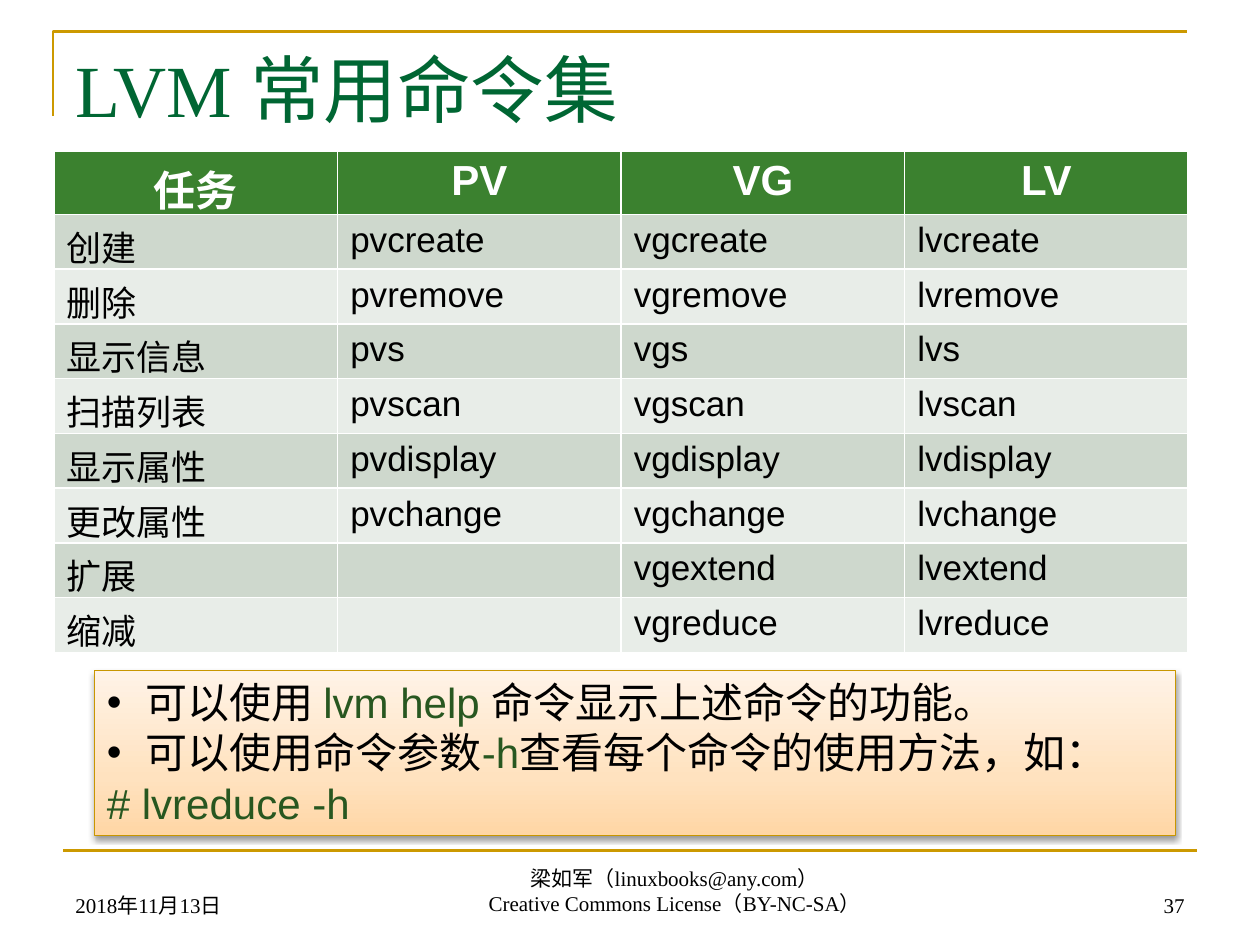
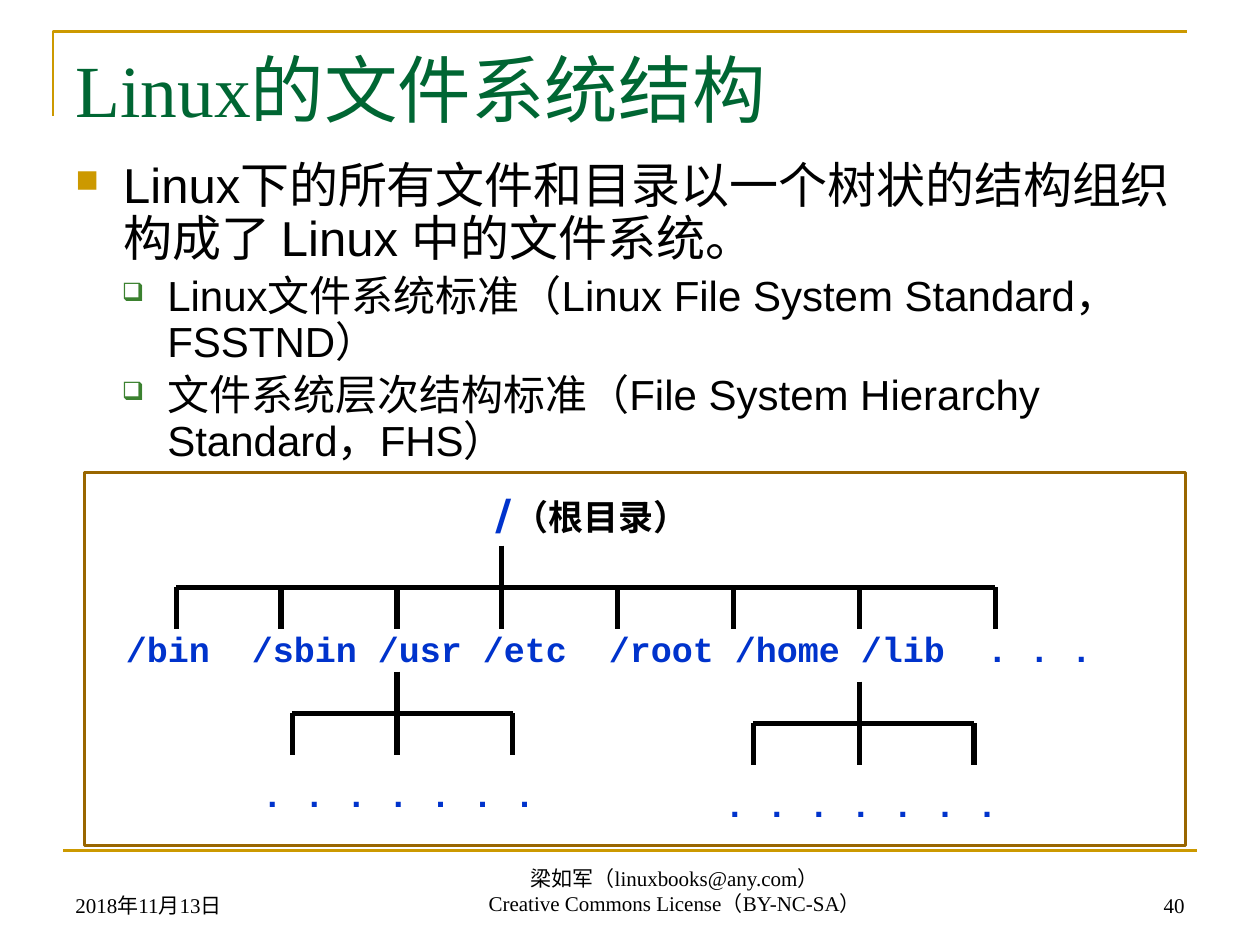
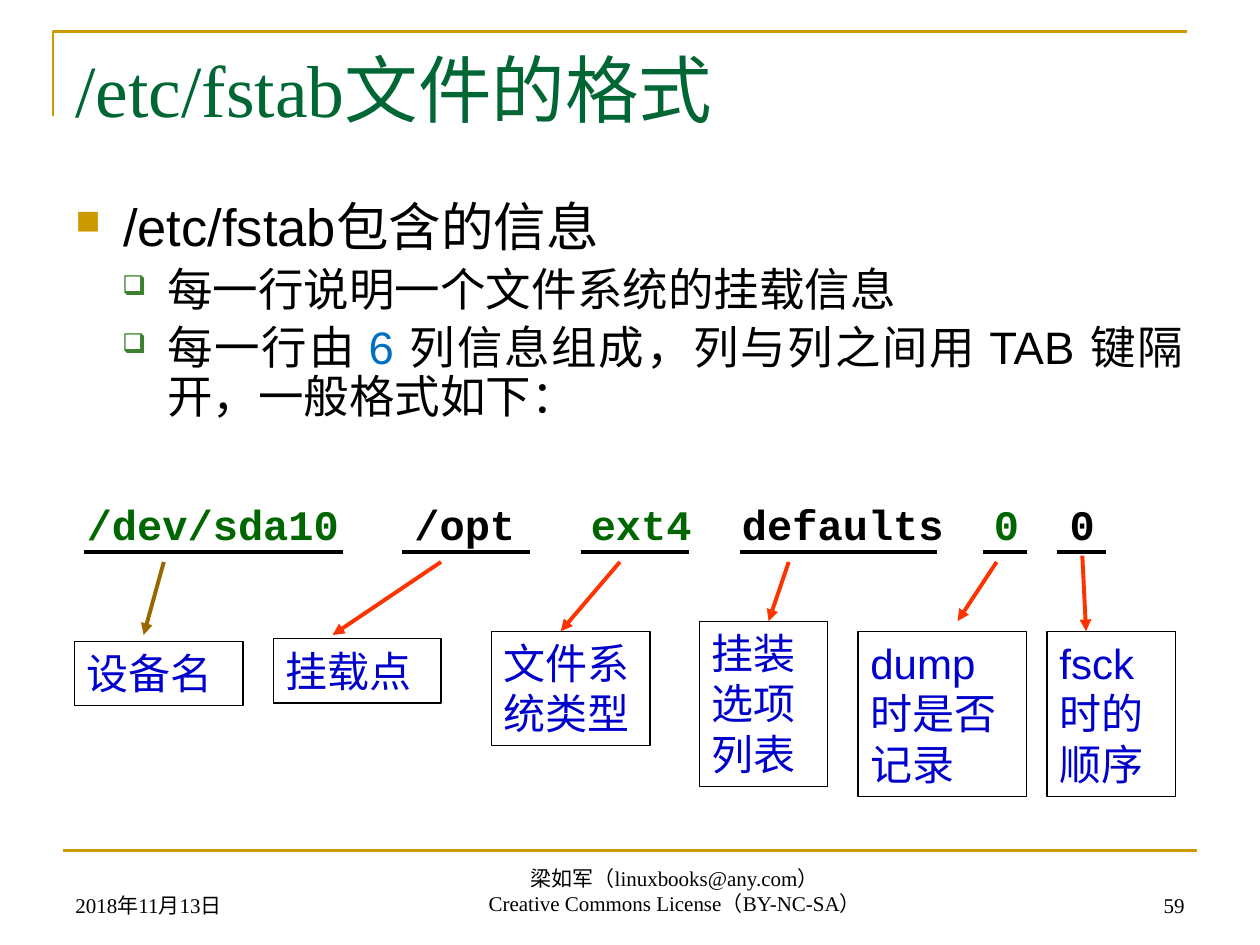
"""Build three Linux storage slides: LVM commands, file system tree, fstab format."""
import copy

import lxml.etree
import pptx
import pptx.dml.color
import pptx.enum.shapes
import pptx.enum.text
import pptx.oxml.ns
import pptx.util

Inches = pptx.util.Inches
Pt = pptx.util.Pt
RGB = pptx.dml.color.RGBColor.from_string
ALIGN = pptx.enum.text.PP_ALIGN
ANCHOR = pptx.enum.text.MSO_ANCHOR
SHAPE = pptx.enum.shapes.MSO_SHAPE
qn = pptx.oxml.ns.qn
SubElement = lxml.etree.SubElement

COLORS = {
    "black": "000000", "white": "FFFFFF", "gold": "CC9900", "title": "006633",
    "header": "3B812F", "band_dark": "CED8CD", "band_light": "E8EDE8",
    "command": "285720", "note_line": "C89600", "note_low": "FFD6A5",
    "note_mid": "FFE2BF", "note_high": "FFF3E7", "brown": "996600",
    "path": "0033CC", "field": "006600", "six": "0070C0", "arrow": "FF3300",
    "label": "0000CC",
}
SERIF, SANS, MONO = "Times New Roman", "Arial", "Courier New"


def add_line(s, x1, y1, x2, y2, color, width, arrow=False):
    c = s.shapes.add_connector(pptx.enum.shapes.MSO_CONNECTOR.STRAIGHT,
                               Inches(x1), Inches(y1), Inches(x2), Inches(y2))
    c.line.color.rgb = RGB(COLORS[color])
    c.line.width = Pt(width)
    spPr = c._element.spPr
    if arrow:
        SubElement(spPr.find(qn("a:ln")), qn("a:tailEnd"), type="triangle")
    SubElement(spPr, qn("a:effectLst"))


def add_text(tf, paras, size, font, bold=False, align=ALIGN.LEFT, anchor=ANCHOR.TOP):
    tf.word_wrap = True
    tf.vertical_anchor = anchor
    for i, runs in enumerate(paras):
        p = tf.paragraphs[0] if i == 0 else tf.add_paragraph()
        p.alignment = align
        for text, color in runs:
            r = p.add_run()
            r.text = text
            r.font.size = Pt(size)
            r.font.name = font
            r.font.bold = bold
            r.font.color.rgb = RGB(COLORS[color])


prs = pptx.Presentation()
prs.slide_width = Inches(10)
prs.slide_height = Inches(7.5)

footer = ["梁如军（linuxbooks@any.com）", "Creative Commons License（BY-NC-SA）"]
slides = []
for title, number in [("LVM 常用命令集", "37"), ("Linux的文件系统结构", "40"),
                      ("/etc/fstab文件的格式", "59")]:
    s = prs.slides.add_slide(prs.slide_layouts[6])
    slides.append(s)
    fb = s.shapes.build_freeform(Inches(0.42), Inches(0.92), scale=1.0)
    fb.add_line_segments([(Inches(0.42), Inches(0.25)), (Inches(9.42), Inches(0.25))], close=False)
    sp = fb.convert_to_shape()
    sp.shadow.inherit = False
    sp.fill.background()
    sp.line.color.rgb = RGB(COLORS["gold"])
    sp.line.width = Pt(1.5)
    add_line(s, 0.5, 6.75, 9.5, 6.75, "gold", 1.5)
    for box, lines, size, color, align, anchor in [
        ((0.5, 0.3, 9, 1.25), [title], 42, "title", ALIGN.LEFT, ANCHOR.TOP),
        ((0.5, 6.83, 2.33, 0.5), ["2018年11月13日"], 12, "black", ALIGN.LEFT, ANCHOR.BOTTOM),
        ((2.4, 6.82, 5.91, 0.5), footer, 12, "black", ALIGN.CENTER, ANCHOR.BOTTOM),
        ((7.17, 6.83, 2.33, 0.5), [number], 12, "black", ALIGN.RIGHT, ANCHOR.BOTTOM),
    ]:
        sp = s.shapes.add_textbox(*map(Inches, box))
        add_text(sp.text_frame, [[(line, color)] for line in lines], size, SERIF,
                 align=align, anchor=anchor)
lvm, tree, fstab = slides

sp = lvm.shapes.add_shape(SHAPE.RECTANGLE, Inches(0.75), Inches(5.32), Inches(8.58), Inches(1.31))
sp.line.color.rgb = RGB(COLORS["note_line"])
sp.line.width = Pt(0.75)
sp.fill.gradient()
sp.fill.gradient_angle = 90
gs = next(sp._element.iter(qn("a:gs")))
gs.addnext(copy.deepcopy(gs))
for stop, (position, color) in zip(sp.fill.gradient_stops,
                                   [(0, "note_low"), (0.35, "note_mid"), (1, "note_high")]):
    stop.position = position
    stop.color.rgb = RGB(COLORS[color])
sp.shadow.inherit = False
shadow = SubElement(sp._element.spPr.find(qn("a:effectLst")), qn("a:outerShdw"),
                    blurRad=str(Pt(3.1)), dist=str(Pt(1.6)), dir="5400000", rotWithShape="0")
clr = SubElement(shadow, qn("a:srgbClr"), val=COLORS["black"])
SubElement(clr, qn("a:alpha"), val="38000")
add_text(sp.text_frame, [
    [("可以使用 ", "black"), ("lvm help ", "command"), ("命令显示上述命令的功能。", "black")],
    [("可以使用命令参数", "black"), ("-h", "command"), ("查看每个命令的使用方法，如：", "black")],
    [("# lvreduce -h", "command")],
], 24, SANS)
for p in sp.text_frame.paragraphs[:2]:
    pPr = p._p.get_or_add_pPr()
    pPr.set("marL", str(Inches(0.31)))
    pPr.set("indent", str(-Inches(0.31)))
    SubElement(pPr, qn("a:buFont"), typeface=SANS)
    SubElement(pPr, qn("a:buChar"), char="•")

rows = [("任务", "PV", "VG", "LV")]
for task, action in [("创建", "create"), ("删除", "remove"), ("显示信息", "s"), ("扫描列表", "scan"),
                     ("显示属性", "display"), ("更改属性", "change"), ("扩展", "extend"),
                     ("缩减", "reduce")]:
    pv = "" if action in ("extend", "reduce") else "pv" + action
    rows.append((task, pv, "vg" + action, "lv" + action))
table = lvm.shapes.add_table(len(rows), 4, Inches(0.43), Inches(1.2), Inches(9), Inches(3.97)).table
for i, row in enumerate(rows):
    table.rows[i].height = Inches(0.49 if i == 0 else (3.97 - 0.49) / 8)
    for j, text in enumerate(row):
        cell = table.cell(i, j)
        cell.fill.solid()
        band = "header" if i == 0 else "band_dark" if i % 2 else "band_light"
        cell.fill.fore_color.rgb = RGB(COLORS[band])
        if i == 0:
            add_text(cell.text_frame, [[(text, "white")]], 24, SANS, True, ALIGN.CENTER)
        elif text:
            add_text(cell.text_frame, [[(text, "black")]], 20, SANS)

bullets = [("■", "gold", 65, 0.38, 0.38), ("❑", "header", 60, 0.73, 0.36)]
for s, box, sizes, align, paras in [
    (tree, (0.5, 1.23, 9, 5.47), (28, 24), ALIGN.LEFT, [
        [("Linux下的所有文件和目录以一个树状的结构组织构成了 Linux 中的文件系统。", "black")],
        [("Linux文件系统标准（Linux File System Standard，FSSTND）", "black")],
        [("文件系统层次结构标准（File System Hierarchy Standard，FHS）", "black")]]),
    (fstab, (0.5, 1.55, 8.99, 2.13), (30, 26), ALIGN.JUSTIFY, [
        [("/etc/fstab", "black"), ("包含的信息", "black")],
        [("每一行说明一个文件系统的挂载信息", "black")],
        [("每一行由 ", "black"), ("6 ", "six"),
         ("列信息组成，列与列之间用 TAB 键隔开，一般格式如下：", "black")]]),
]:
    tf = s.shapes.add_textbox(*map(Inches, box)).text_frame
    add_text(tf, paras, sizes[1], SANS, align=align)
    for i, p in enumerate(tf.paragraphs):
        p.level = min(i, 1)
        char, color, percent, left, hang = bullets[p.level]
        size = sizes[p.level]
        p.line_spacing = 0.9
        p.space_before = Pt(size * 0.2)
        for r in p.runs:
            r.font.size = Pt(size)
        pPr = p._p.get_or_add_pPr()
        pPr.set("marL", str(Inches(left)))
        pPr.set("indent", str(-Inches(hang)))
        SubElement(SubElement(pPr, qn("a:buClr")), qn("a:srgbClr"), val=COLORS[color])
        SubElement(pPr, qn("a:buSzPct"), val=str(percent * 1000))
        SubElement(pPr, qn("a:buChar"), char=char)
tf.paragraphs[0].runs[1].font.name = SERIF

tf = tree.shapes.add_textbox(Inches(3.82), Inches(3.83), Inches(2.17), Inches(0.5)).text_frame
add_text(tf, [[("/", "path"), ("（根目录）", "black")]], 20, "Karla", True)
tf.paragraphs[0].runs[0].font.size = Pt(24)
for stem, y, drops in [
    (3.98, 4.66, [1.4, 2.23, 3.15, 3.98, 4.9, 5.82, 6.82, 7.9]),
    (3.15, 5.66, [2.32, 3.15, 4.07]),
    (6.82, 5.74, [5.98, 6.82, 7.73]),
]:
    add_line(tree, drops[0], y, drops[-1], y, "black", 3)
    add_line(tree, stem, y - 0.33, stem, y, "black", 3)
    for x in drops:
        add_line(tree, x, y, x, y + 0.33, "black", 3)
for x, y in [(1.98, 6.08), (5.65, 6.16)]:
    sp = tree.shapes.add_textbox(Inches(x), Inches(y), Inches(2.75), Inches(0.43))
    add_text(sp.text_frame, [[(". . . . . . .", "path")]], 20, MONO, True)
dirs = tree.shapes.add_textbox(Inches(0.9), Inches(4.93), Inches(8.58), Inches(0.43)).text_frame
add_text(dirs, [[("/bin\t/sbin\t/usr\t/etc\t/root\t/home\t/lib\t. . .", "path")]], 20, MONO, True)
sp = tree.shapes.add_shape(SHAPE.RECTANGLE, Inches(0.67), Inches(3.75), Inches(8.74), Inches(2.96))
sp.shadow.inherit = False
sp.fill.background()
sp.line.color.rgb = RGB(COLORS["brown"])
sp.line.width = Pt(1.5)

entry = fstab.shapes.add_textbox(Inches(0.59), Inches(3.91), Inches(8.58), Inches(0.58)).text_frame
add_text(entry, [[("/dev/sda10\t", "field"), ("/opt", "black"), ("\text4\t", "field"),
                  ("defaults", "black"), ("\t0\t", "field"), ("0", "black")]], 24, MONO, True)
entry.paragraphs[0].space_before = Pt(4.8)
for tf, char_width, columns in [(dirs, 1 / 6, [6, 12, 17, 23, 29, 35, 41]),
                                (entry, 0.2, [13, 20, 26, 36, 39])]:
    tabs = SubElement(tf.paragraphs[0]._p.get_or_add_pPr(), qn("a:tabLst"))
    for column in columns:
        SubElement(tabs, qn("a:tab"), pos=str(Inches(column * char_width)), algn="l")

for text, box, underline, arrow, color in [
    ("设备名", (0.59, 5.09, 1.34, 0.51), (0.67, 2.72), (1.3, 4.46, 1.14, 5.04), "brown"),
    ("挂载点", (2.17, 5.07, 1.33, 0.51), (3.19, 4.21), (3.5, 4.46, 2.64, 5.04), "arrow"),
    ("文件系统类型", (3.9, 5.01, 1.26, 0.91), (4.61, 5.47), (4.92, 4.46, 4.45, 5.01), "arrow"),
    ("挂装选项列表", (5.55, 4.93, 1.02, 1.31), (5.87, 7.44), (6.26, 4.46, 6.1, 4.93), "arrow"),
    ("dump时是否记录", (6.81, 5.01, 1.34, 1.31), (7.8, 8.15), (7.91, 4.46, 7.6, 4.93), "arrow"),
    ("fsck时的顺序", (8.31, 5.01, 1.02, 1.31), (8.39, 8.78), (8.59, 4.41, 8.62, 5.01), "arrow"),
]:
    add_line(fstab, *arrow, color, 2.25, arrow=True)
    sp = fstab.shapes.add_shape(SHAPE.RECTANGLE, *map(Inches, box))
    sp.shadow.inherit = False
    sp.fill.background()
    sp.line.color.rgb = RGB(COLORS["black"])
    sp.line.width = Pt(0.75)
    add_text(sp.text_frame, [[(text, "label")]], 24, SANS)
    add_line(fstab, underline[0], 4.38, underline[1], 4.38, "black", 2.25)

prs.save("out.pptx")
